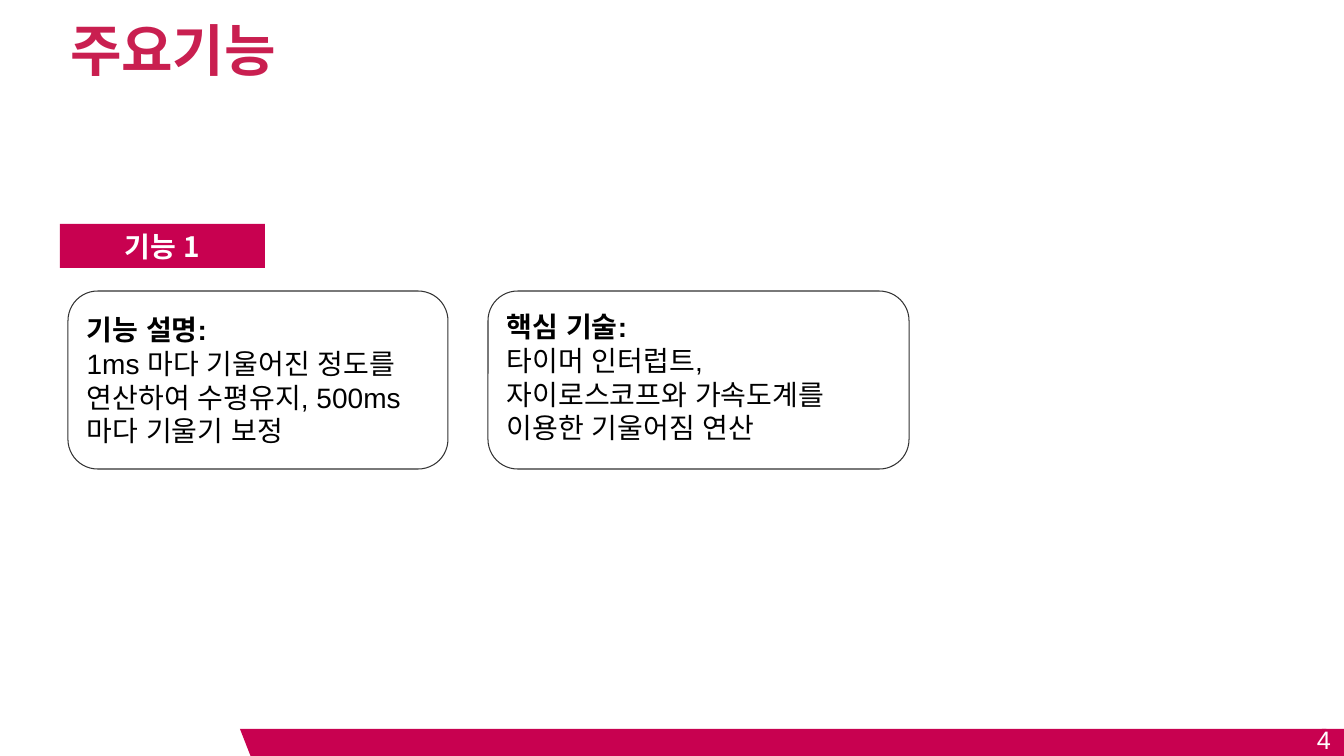
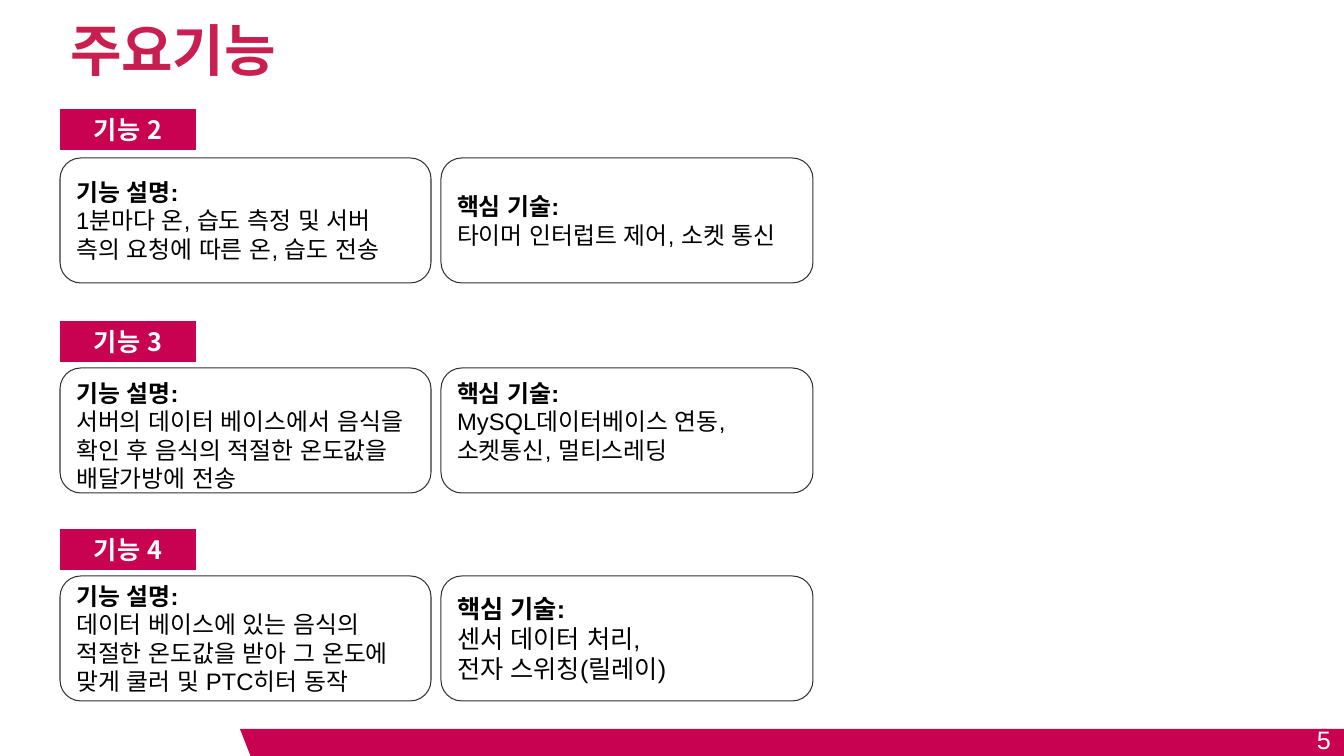
from dataclasses import dataclass

from lxml import etree
from pptx import Presentation
from pptx.dml.color import RGBColor
from pptx.enum.lang import MSO_LANGUAGE_ID
from pptx.enum.shapes import MSO_SHAPE
from pptx.enum.text import MSO_ANCHOR, MSO_AUTO_SIZE, PP_ALIGN
from pptx.oxml import parse_xml
from pptx.oxml.ns import nsdecls, qn
from pptx.util import Emu, Pt

RECTANGLE = MSO_SHAPE.RECTANGLE
PARALLELOGRAM = MSO_SHAPE.PARALLELOGRAM
CARD_SHAPE = MSO_SHAPE.FLOWCHART_ALTERNATE_PROCESS
LEFT, CENTER, RIGHT = PP_ALIGN.LEFT, PP_ALIGN.CENTER, PP_ALIGN.RIGHT
MIDDLE = MSO_ANCHOR.MIDDLE
KOREAN = MSO_LANGUAGE_ID.KOREAN

# Shared look
SLIDE_WIDTH, SLIDE_HEIGHT = 1344, 756
EMU_PER_PX = 12192000 / SLIDE_WIDTH
CRIMSON, TITLE_RED = "C80150", "C91F50"
WHITE, BLACK, OUTLINE = "FFFFFF", "000000", "323232"
LATIN_FONT, KOREAN_FONT = "Arial", "Noto Sans CJK KR"
LINE_HEIGHT = 1.2
MARGIN = 60
BAND_TOP, BAND_HEIGHT = 729, 27
INSET = 10


@dataclass(frozen=True)
class Box:
    left: int
    top: int
    width: int
    height: int


@dataclass(frozen=True)
class Card:
    heading: str
    lines: tuple[str, ...]
    size: int
    shift: int = 0  # vertical offset of the text from the middle


@dataclass(frozen=True)
class Feature:
    name: str
    label_top: int
    card_top: int
    cards: tuple[Card, Card]


@dataclass(frozen=True)
class Page:
    number: int
    label_width: int
    label_height: int
    label_size: int
    card_columns: tuple[tuple[int, int], ...]  # left and width
    card_height: int
    features: tuple[Feature, ...]


DESCRIPTION, TECHNOLOGY = "기능 설명:", "핵심 기술:"

PAGES = (
    Page(4, 205, 44, 20, ((68, 380), (488, 421)), 178, (
        Feature("기능 1", 224, 291, (
            Card(DESCRIPTION, ("1ms 마다 기울어진 정도를 연산하여 수평유지, 500ms 마다 기울기 보정",), 20),
            Card(TECHNOLOGY, ("타이머 인터럽트, 자이로스코프와 가속도계를 이용한 기울어짐 연산",), 20, -3),
        )),
    )),
    Page(5, 136, 41, 18, ((60, 371), (441, 372)), 125, (
        Feature("기능 2", 109, 158, (
            Card(DESCRIPTION, ("1분마다 온, 습도 측정 및 서버 측의 요청에 따른 온, 습도 전송",), 17),
            Card(TECHNOLOGY, ("타이머 인터럽트 제어, 소켓 통신",), 17),
        )),
        Feature("기능 3", 321, 368, (
            Card(DESCRIPTION, ("서버의 데이터 베이스에서 음식을 확인 후 음식의 적절한 온도값을 배달가방에 전송",), 17, 5),
            Card(TECHNOLOGY, ("MySQL데이터베이스 연동, 소켓통신, 멀티스레딩",), 17, -9),
        )),
        Feature("기능 4", 529, 576, (
            Card(DESCRIPTION, ("데이터 베이스에 있는 음식의 적절한 온도값을 받아 그 온도에 맞게 쿨러 및 PTC히터 동작",), 17),
            Card(TECHNOLOGY, ("센서 데이터 처리,", "전자 스위칭(릴레이)"), 18),
        )),
    )),
)


def px(value: int) -> Emu:
    return Emu(round(value * EMU_PER_PX))


def rgb(color: str) -> RGBColor:
    return RGBColor.from_string(color)


def place(shape, box: Box) -> None:
    shape.left, shape.top = px(box.left), px(box.top)
    shape.width, shape.height = px(box.width), px(box.height)


def add_box(slide, kind, box: Box, *, fill: str | None = None, line: str | None = None):
    shape = slide.shapes.add_shape(
        kind, px(box.left), px(box.top), px(box.width), px(box.height))
    shape.shadow.inherit = False
    if fill:
        shape.fill.solid()
        shape.fill.fore_color.rgb = rgb(fill)
    else:
        shape.fill.background()
    if line:
        shape.line.color.rgb = rgb(line)
        shape.line.width = Pt(0.75)
    else:
        shape.line.fill.background()
    return shape


def set_frame(shape, *, top: int, bottom: int) -> None:
    frame = shape.text_frame
    frame.word_wrap = True
    frame.auto_size = MSO_AUTO_SIZE.NONE
    frame.vertical_anchor = MIDDLE
    frame.margin_left = frame.margin_right = px(INSET)
    frame.margin_top, frame.margin_bottom = px(top), px(bottom)


def write(paragraph, text: str, *, size: int, color: str, bold: bool = False,
          font: str = LATIN_FONT, align=LEFT):
    """Write one formatted run and return it."""
    paragraph.alignment = align
    paragraph.line_spacing = Pt(size * LINE_HEIGHT)
    paragraph.space_before = paragraph.space_after = Pt(0)
    run = paragraph.add_run()
    run.text = text
    run.font.size, run.font.bold = Pt(size), bold
    run.font.color.rgb = rgb(color)
    run.font.name = font
    run.font.language_id = KOREAN
    latin = run.font._element.find(qn("a:latin"))
    east_asian = etree.Element(qn("a:ea"), typeface=KOREAN_FONT)
    latin.addnext(east_asian)
    return run


def add_text_shadow(run) -> None:
    shadow = parse_xml(
        f'<a:effectLst {nsdecls("a")}>'
        '<a:outerShdw blurRad="38100" dist="38100" dir="2700000" algn="tl">'
        '<a:srgbClr val="000000"><a:alpha val="43000"/></a:srgbClr>'
        '</a:outerShdw></a:effectLst>')
    run.font._element.find(qn("a:solidFill")).addnext(shadow)


# Parts shared by every slide
def add_footer(slide, number: int) -> None:
    add_box(slide, RECTANGLE, Box(1322, BAND_TOP, 22, BAND_HEIGHT), fill=CRIMSON)
    band = add_box(slide, PARALLELOGRAM, Box(240, BAND_TOP, 1097, BAND_HEIGHT), fill=CRIMSON)
    band.adjustments[0] = 0.39
    band._element.spPr.find(qn("a:xfrm")).set("flipH", "1")
    number_box = slide.shapes.add_textbox(px(1258), px(719), px(83), px(40))
    set_frame(number_box, top=5, bottom=5)
    write(number_box.text_frame.paragraphs[0], str(number), size=18, color=WHITE, align=RIGHT)


def set_title(slide, text: str) -> None:
    title = slide.shapes.title
    place(title, Box(MARGIN, 13, 929, 70))
    set_frame(title, top=2, bottom=0)
    run = write(title.text_frame.paragraphs[0], text, size=40, color=TITLE_RED, bold=True)
    add_text_shadow(run)


# Feature blocks
def add_card(slide, box: Box, card: Card) -> None:
    shape = add_box(slide, CARD_SHAPE, box, line=OUTLINE)
    set_frame(shape, top=INSET + 2 * max(card.shift, 0),
              bottom=INSET + 2 * max(-card.shift, 0))
    frame = shape.text_frame
    write(frame.paragraphs[0], card.heading, size=card.size, color=BLACK, bold=True)
    for line in card.lines:
        write(frame.add_paragraph(), line, size=card.size, color=BLACK)


def add_feature(slide, page: Page, feature: Feature) -> None:
    label_box = Box(MARGIN, feature.label_top, page.label_width, page.label_height)
    label = add_box(slide, RECTANGLE, label_box, fill=CRIMSON)
    set_frame(label, top=5, bottom=5)
    write(label.text_frame.paragraphs[0], feature.name, size=page.label_size,
          color=WHITE, bold=True, font=KOREAN_FONT, align=CENTER)
    for (left, width), card in zip(page.card_columns, feature.cards):
        add_card(slide, Box(left, feature.card_top, width, page.card_height), card)


def main() -> None:
    presentation = Presentation()
    presentation.slide_width = px(SLIDE_WIDTH)
    presentation.slide_height = px(SLIDE_HEIGHT)
    title_only = presentation.slide_layouts[5]
    for page in PAGES:
        slide = presentation.slides.add_slide(title_only)
        add_footer(slide, page.number)
        set_title(slide, "주요기능")
        for feature in page.features:
            add_feature(slide, page, feature)
    presentation.save("out.pptx")


if __name__ == "__main__":
    main()
